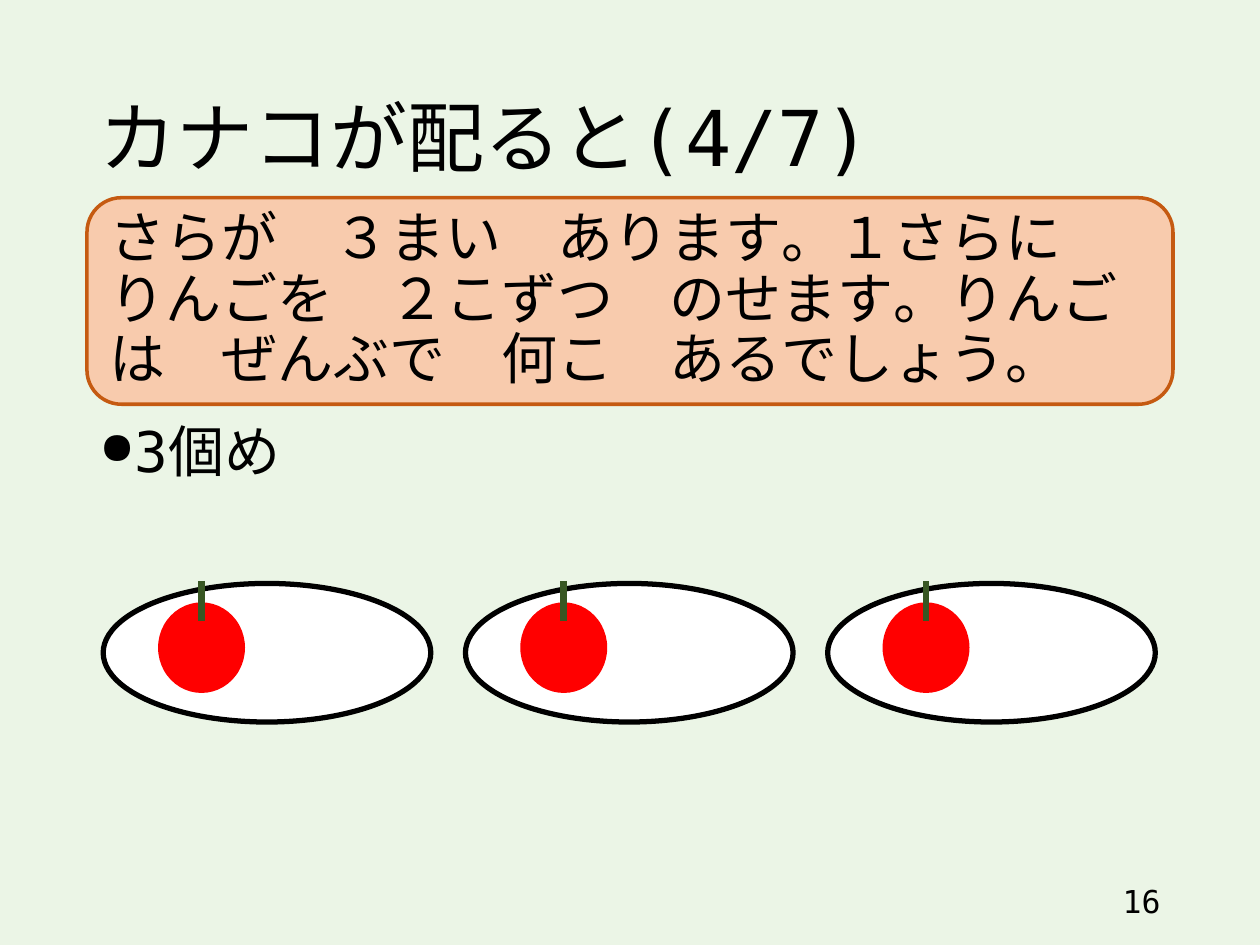
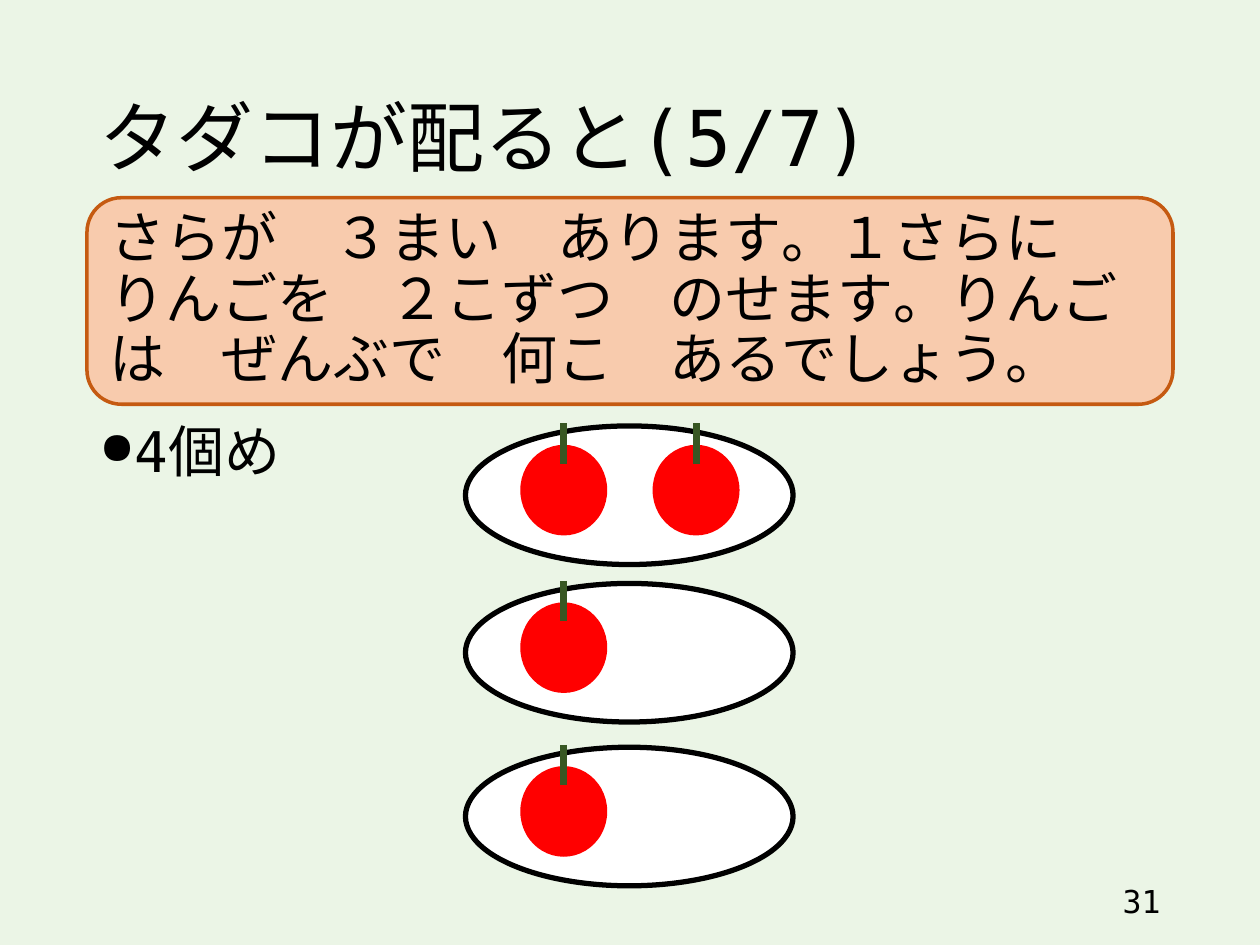
from dataclasses import dataclass

from lxml import etree
from pptx import Presentation
from pptx.dml.color import RGBColor
from pptx.enum.lang import MSO_LANGUAGE_ID
from pptx.enum.shapes import MSO_CONNECTOR, MSO_SHAPE
from pptx.enum.text import MSO_ANCHOR, PP_ALIGN
from pptx.oxml.ns import qn
from pptx.util import Pt

ELLIPSE = MSO_SHAPE.OVAL
ROUNDED = MSO_SHAPE.ROUNDED_RECTANGLE
STRAIGHT = MSO_CONNECTOR.STRAIGHT
LEFT, RIGHT = PP_ALIGN.LEFT, PP_ALIGN.RIGHT
TOP, MIDDLE = MSO_ANCHOR.TOP, MSO_ANCHOR.MIDDLE
JAPANESE = MSO_LANGUAGE_ID.JAPANESE


@dataclass(frozen=True)
class Theme:
    font: str = "DejaVu Sans Mono"
    title_size: int = 44
    body_size: int = 32
    number_size: int = 18
    background: str = "EBF5E6"
    ink: str = "000000"
    plate: str = "FFFFFF"
    apple: str = "FF0000"
    stem: str = "385723"
    problem_fill: str = "F8CBAD"
    problem_line: str = "C55A11"


THEME = Theme()
MARGIN, CONTENT_WIDTH = 49.7, 620.6
PLATE_WIDTH, PLATE_HEIGHT = 187.2, 79.2
PLATE_LEFT, PLATE_STEP = 59, 207
PLATE_TOP = 333.4
APPLE_WIDTH, APPLE_HEIGHT, APPLE_STEP = 49.7, 51.8, 75.6
APPLE_INSET_X, APPLE_INSET_Y = 31.3, 10.8
STEM_ABOVE, STEM_BELOW = 12.2, 10.8

PROBLEM = ("さらが　３まい　あります。１さらに　りんごを　２こずつ　のせます。"
           "りんごは　ぜんぶで　何こ　あるでしょう。")


def color(value):
    return RGBColor.from_string(value)


def write(box, text, size, anchor=MIDDLE, align=LEFT, spacing=0.9):
    frame = box.text_frame
    frame.word_wrap = True
    frame.vertical_anchor = anchor
    frame.text = text
    para = frame.paragraphs[0]
    para.alignment = align
    para.line_spacing = spacing
    for span in para.runs:
        span.font.name = THEME.font
        span.font.size = Pt(size)
        span.font.color.rgb = color(THEME.ink)
        span.font.language_id = JAPANESE
        east_asian = etree.Element(qn("a:ea"), typeface=THEME.font)
        span.font._element.find(qn("a:latin")).addnext(east_asian)
    return para


def add_text(page, left, top, width, height, text, size, **layout):
    box = page.shapes.add_textbox(Pt(left), Pt(top), Pt(width), Pt(height))
    return write(box, text, size, **layout)


def add_bullet(para):
    properties = para._p.get_or_add_pPr()
    properties.set("marL", str(Pt(18)))
    properties.set("indent", str(-Pt(18)))
    etree.SubElement(properties, qn("a:buSzPct"), val="80000")
    etree.SubElement(properties, qn("a:buChar"), char="●")


def add_figure(shapes, kind, left, top, width, height, fill, line=None, weight=0):
    figure = shapes.add_shape(kind, Pt(left), Pt(top), Pt(width), Pt(height))
    figure.shadow.inherit = False
    figure.fill.solid()
    figure.fill.fore_color.rgb = color(fill)
    if line:
        figure.line.color.rgb = color(line)
        figure.line.width = Pt(weight)
    else:
        figure.line.fill.background()
    return figure


def add_apple(page, left, top):
    """Group a red apple with its stem."""
    shapes = page.shapes.add_group_shape().shapes
    add_figure(shapes, ELLIPSE, left, top, APPLE_WIDTH, APPLE_HEIGHT, THEME.apple)
    middle = Pt(left + APPLE_WIDTH / 2)
    stem = shapes.add_connector(STRAIGHT, middle, Pt(top - STEM_ABOVE),
                                middle, Pt(top + STEM_BELOW))
    stem.line.color.rgb = color(THEME.stem)
    stem.line.width = Pt(4)
    etree.SubElement(stem._element.spPr, qn("a:effectLst"))


def add_plate(page, column, top, apples):
    left = PLATE_LEFT + column * PLATE_STEP
    add_figure(page.shapes, ELLIPSE, left, top, PLATE_WIDTH, PLATE_HEIGHT,
               THEME.plate, THEME.ink, 3)
    for index in range(apples):
        add_apple(page, left + APPLE_INSET_X + index * APPLE_STEP, top + APPLE_INSET_Y)


def add_page(deck, title, step, number, plates):
    """Add a page; plates lists (column, top, apples)."""
    page = deck.slides.add_slide(deck.slide_layouts[6])
    page.background.fill.solid()
    page.background.fill.fore_color.rgb = color(THEME.background)
    add_text(page, MARGIN, 28.8, CONTENT_WIDTH, 104.4, title, THEME.title_size)
    problem = add_figure(page.shapes, ROUNDED, MARGIN, 113, CONTENT_WIDTH, 118,
                         THEME.problem_fill, THEME.problem_line, 2)
    write(problem, PROBLEM, THEME.body_size)
    add_bullet(add_text(page, MARGIN, 239, CONTENT_WIDTH, 247, step,
                        THEME.body_size, anchor=TOP))
    for column, top, apples in plates:
        add_plate(page, column, top, apples)
    add_text(page, 508.3, 500.4, 162, 28.8, number, THEME.number_size,
             align=RIGHT, spacing=1.0)


def main():
    deck = Presentation()
    deck.slide_width, deck.slide_height = Pt(720), Pt(540)
    add_page(deck, "カナコが配ると(4/7)", "3個め", "16",
             [(column, PLATE_TOP, 1) for column in range(3)])
    add_page(deck, "タダコが配ると(5/7)", "4個め", "31",
             [(1, 243.4, 2), (1, PLATE_TOP, 1), (1, 427, 1)])
    deck.save("out.pptx")


if __name__ == "__main__":
    main()
